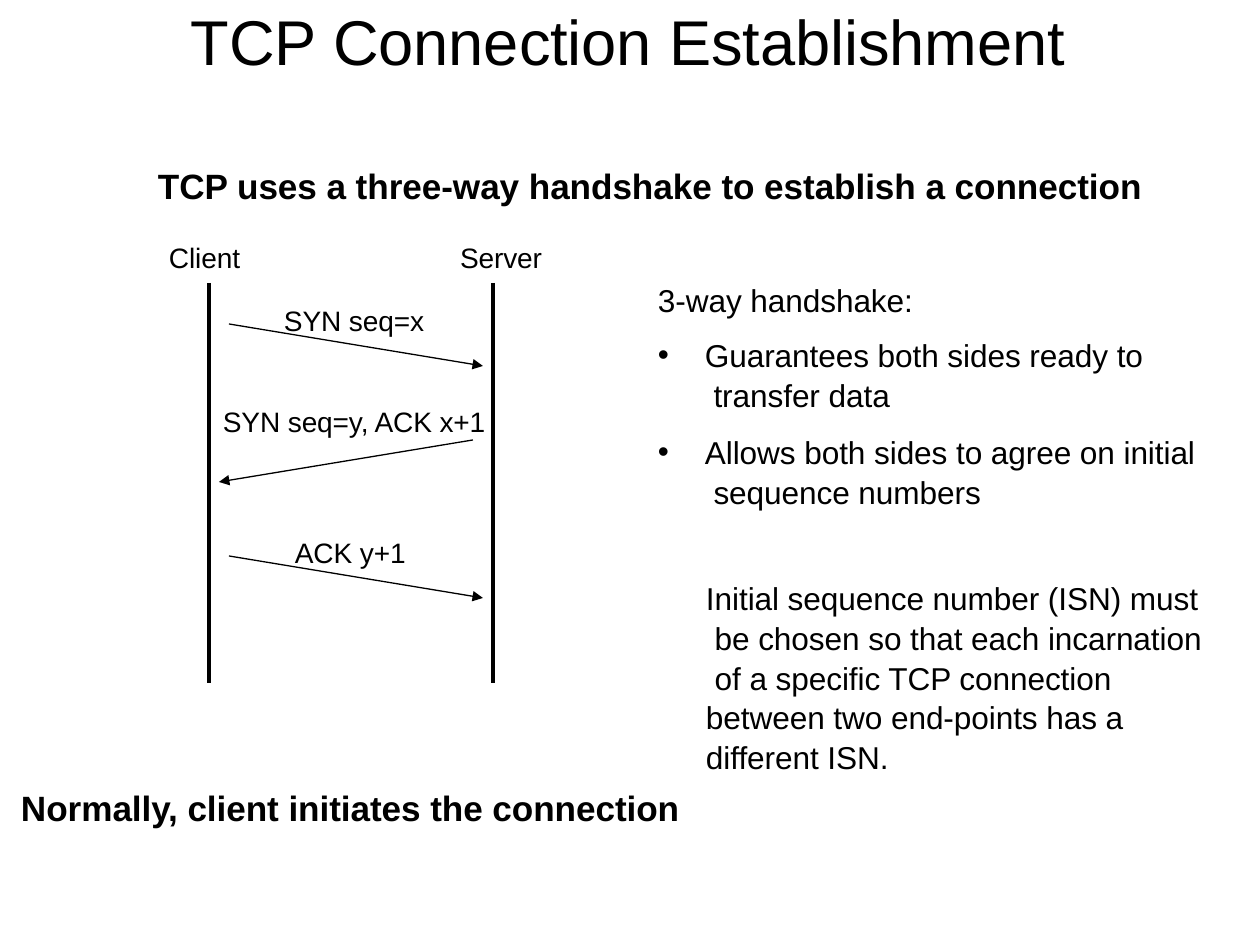
from lxml import etree
from pptx import Presentation
from pptx import util as u
from pptx.dml.color import RGBColor
from pptx.enum import shapes, text
from pptx.oxml.ns import qn

PX = 914400 / 126.4
SLIDE = (1260, 944)
FONT = "Arial"
COLORS = {"ink": "000000", "paper": "FFFFFF"}

STYLES = {
    "title": {"size": u.Pt(36), "bold": False},
    "heading": {"size": u.Pt(20), "bold": True},
    "body": {"size": u.Pt(18), "bold": False},
    "label": {"size": u.Pt(16), "bold": False},
}
TRACKING = "-5"  # hundredths of a point
BODY_LEADING = 1.05
BULLET_INDENT = 47

# style, (left, top, width, height), paragraphs; \v breaks a line
TEXTS = [
    ("title", (191, 2, 880, 75), ["TCP Connection Establishment"]),
    ("heading", (158, 164, 1000, 41),
     ["TCP uses a three-way handshake to establish a connection"]),
    ("label", (169, 240, 90, 33), ["Client"]),
    ("label", (460, 240, 100, 33), ["Server"]),
    ("label", (284, 303, 160, 33), ["SYN seq=x"]),
    ("label", (223, 404, 270, 33), ["SYN seq=y, ACK x+1"]),
    ("label", (295, 535, 130, 33), ["ACK y+1"]),
    ("body", (658, 279, 290, 38), ["3-way handshake:"]),
    ("body", (706, 577, 520, 190),
     ["Initial sequence number (ISN) must\v be chosen so that each incarnation"
      "\v of a specific TCP connection\vbetween two end-points has a\vdifferent ISN."]),
    ("heading", (21, 786, 680, 41), ["Normally, client initiates the connection"]),
]
BENEFITS_BOX = (658, 334, 570, 172)
BENEFITS = [
    "Guarantees both sides ready to\v transfer data",
    "Allows both sides to agree on initial\v sequence numbers",
]

CLIENT_X, SERVER_X = 209, 493
LIFELINE_TOP, LIFELINE_BOTTOM = 283, 683
NEAR_GAP, FAR_GAP, MESSAGE_DROP = 20, 10, 42
MESSAGES = [(CLIENT_X, SERVER_X, 324), (SERVER_X, CLIENT_X, 440),
            (CLIENT_X, SERVER_X, 556)]


def px(value):
    return u.Emu(round(value * PX))


def add_text(slide, style, box, paragraphs, bulleted=False):
    frame = slide.shapes.add_textbox(*map(px, box)).text_frame
    settings = {"word_wrap": True, "vertical_anchor": text.MSO_ANCHOR.TOP,
                "margin_left": 0, "margin_right": 0, "margin_top": 0, "margin_bottom": 0}
    for name, value in settings.items():
        setattr(frame, name, value)
    frame.text = "\n".join(paragraphs)
    for index, paragraph in enumerate(frame.paragraphs):
        if style == "body":
            paragraph.line_spacing = BODY_LEADING
        if bulleted:
            add_bullet(paragraph)
            paragraph.space_before = u.Pt(10 if index else 0)
        for run in paragraph.runs:
            for name, value in {"name": FONT, **STYLES[style]}.items():
                setattr(run.font, name, value)
            run.font.color.rgb = RGBColor.from_string(COLORS["ink"])
            run.font._element.set("spc", TRACKING)


def add_bullet(paragraph):
    props = paragraph._p.get_or_add_pPr()
    props.set("marL", str(px(BULLET_INDENT)))
    props.set("indent", str(-px(BULLET_INDENT)))
    etree.SubElement(props, qn("a:buFont")).set("typeface", FONT)
    etree.SubElement(props, qn("a:buChar")).set("char", "•")


def add_line(slide, start, end, width, arrow=False):
    connector = slide.shapes.add_connector(
        shapes.MSO_CONNECTOR.STRAIGHT, *map(px, (*start, *end)))
    connector.line.width = u.Pt(width)
    connector.line.color.rgb = RGBColor.from_string(COLORS["ink"])
    if arrow:
        head = etree.SubElement(connector.line._get_or_add_ln(), qn("a:tailEnd"))
        head.set("type", "triangle")
    etree.SubElement(connector._element.spPr, qn("a:effectLst"))


def main():
    deck = Presentation()
    deck.slide_width, deck.slide_height = map(px, SLIDE)
    slide = deck.slides.add_slide(deck.slide_layouts[6])
    slide.background.fill.solid()
    slide.background.fill.fore_color.rgb = RGBColor.from_string(COLORS["paper"])

    for x in (CLIENT_X, SERVER_X):
        add_line(slide, (x, LIFELINE_TOP), (x, LIFELINE_BOTTOM), 2.25)
    for sender, receiver, y in MESSAGES:
        way = 1 if receiver > sender else -1
        add_line(slide, (sender + way * NEAR_GAP, y),
                 (receiver - way * FAR_GAP, y + MESSAGE_DROP), 0.75, arrow=True)
    for style, box, paragraphs in TEXTS:
        add_text(slide, style, box, paragraphs)
    add_text(slide, "body", BENEFITS_BOX, BENEFITS, bulleted=True)
    deck.save("out.pptx")


if __name__ == "__main__":
    main()
